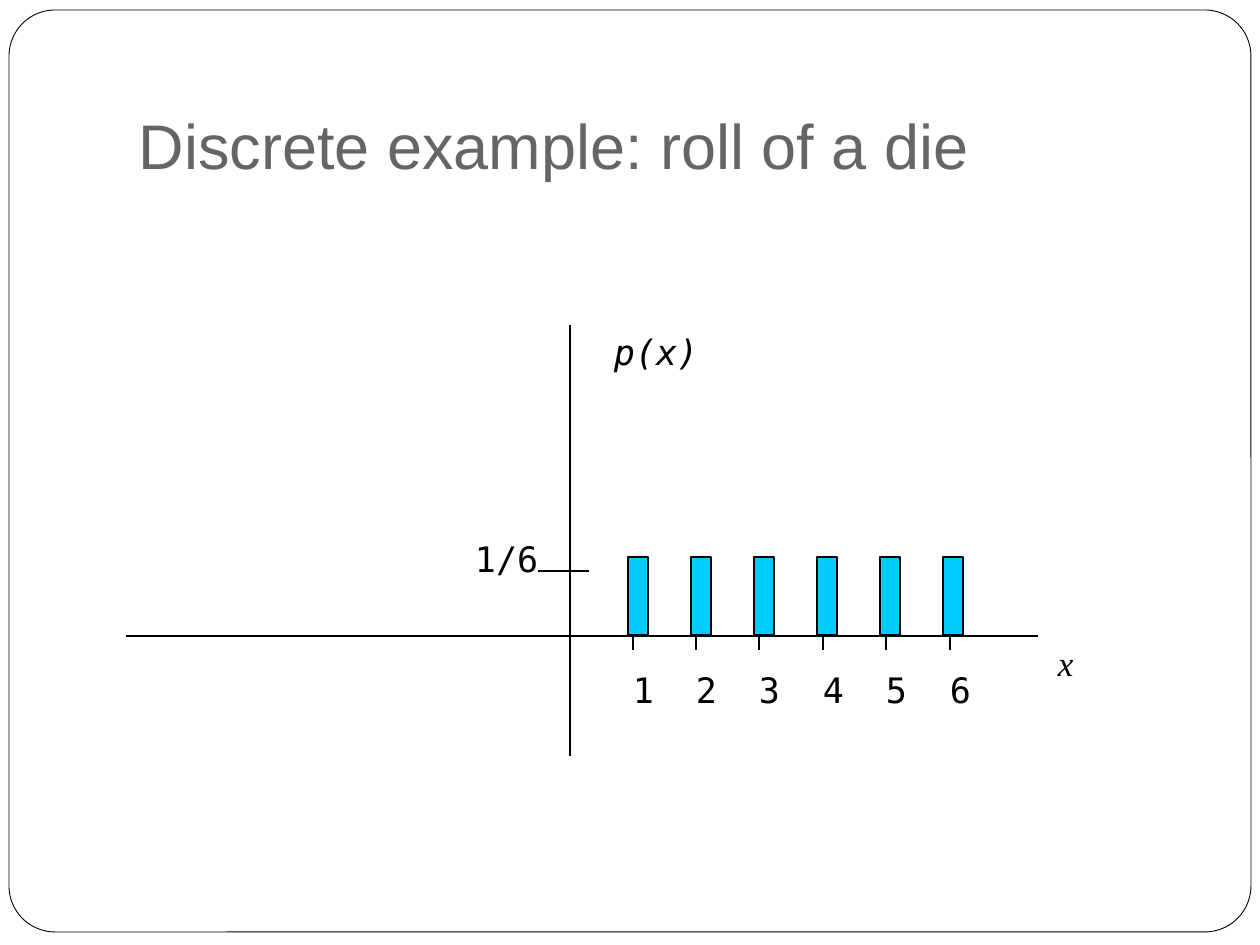
import pptx
import pptx.util
import pptx.dml.color
import pptx.enum.shapes
import pptx.enum.text
import pptx.oxml.ns
from lxml import etree

PX = 914400 / 126
COLORS = {"ink": "000000", "title": "696464", "paper": "FFFFFF", "bar": "00CCFF"}
MONO = "DejaVu Sans Mono"
SHAPES = pptx.enum.shapes.MSO_SHAPE
AXIS_X, AXIS_Y = 570, 636
FIRST_TICK, FIRST_BAR, BAR_STEP = 633, 628, 63


def emu(*lengths):
    return [round(length * PX) for length in lengths]


def color(name):
    return pptx.dml.color.RGBColor.from_string(COLORS[name])


def write(shape, text, size=20, font=MONO, ink="ink", italic=False, margins=(0, 0, 0, 0)):
    frame = shape.text_frame
    frame.word_wrap = True
    frame.auto_size = pptx.enum.text.MSO_AUTO_SIZE.NONE
    frame.margin_left, frame.margin_top, frame.margin_right, frame.margin_bottom = emu(*margins)
    para = frame.paragraphs[0]
    para.alignment = pptx.enum.text.PP_ALIGN.LEFT
    span = para.add_run()
    span.text = text
    span.font.size = pptx.util.Pt(size)
    span.font.name = font
    span.font.italic = italic
    span.font.color.rgb = color(ink)


def add_label(page, text, left, top, width, height, **style):
    box = page.shapes.add_textbox(*emu(left, top, width, height))
    write(box, text, **style)


def add_line(page, x1, y1, x2, y2):
    line = page.shapes.add_connector(
        pptx.enum.shapes.MSO_CONNECTOR.STRAIGHT, *emu(x1, y1, x2, y2))
    line.line.color.rgb = color("ink")
    line.line.width = pptx.util.Pt(0.75)
    etree.SubElement(line.element.spPr, pptx.oxml.ns.qn("a:effectLst"))


def add_block(page, kind, left, top, width, height, fill, weight=0.75):
    block = page.shapes.add_shape(kind, *emu(left, top, width, height))
    block.shadow.inherit = False
    block.fill.solid()
    block.fill.fore_color.rgb = color(fill)
    block.line.color.rgb = color("ink")
    block.line.width = pptx.util.Pt(weight)
    return block


def set_title(page, text):
    title = page.shapes.title
    title.left, title.top, title.width, title.height = emu(126, 38, 1071, 157)
    write(title, text, size=36, font="Arial", ink="title", margins=(13, 6, 13, 13))
    title.text_frame.vertical_anchor = pptx.enum.text.MSO_ANCHOR.BOTTOM


def add_frame(page):
    frame = add_block(page, SHAPES.ROUNDED_RECTANGLE, 9, 10, 1242, 922, "paper", 0.5)
    frame.adjustments[0] = 0.05
    page.shapes.title.element.addprevious(frame.element)


def add_axes(page):
    margins = (13, 6, 13, 6)
    add_line(page, AXIS_X, 325, AXIS_X, 756)
    add_line(page, 126, AXIS_Y, 1038, AXIS_Y)
    add_line(page, 538, 571, 589, 571)
    add_label(page, "x", 1045, AXIS_Y, 89, 78,
              font="Times New Roman", italic=True, margins=margins)
    add_label(page, "p(x)", 601, 325, 150, 78, italic=True, margins=margins)
    add_label(page, "1/6", 475, 538, 66, 39)


def add_outcomes(page):
    for index in range(6):
        tick = FIRST_TICK + 317 * index // 5
        add_line(page, tick, 604, tick, 650)
        add_label(page, str(index + 1), tick, 669, 28, 39)
        add_block(page, SHAPES.RECTANGLE, FIRST_BAR + BAR_STEP * index, 557, 20, 78, "bar")


def main():
    deck = pptx.Presentation()
    deck.slide_width, deck.slide_height = emu(1260, 945)
    page = deck.slides.add_slide(deck.slide_layouts[5])
    set_title(page, "Discrete example: roll of a die")
    add_frame(page)
    add_axes(page)
    add_outcomes(page)
    deck.save("out.pptx")


if __name__ == "__main__":
    main()
